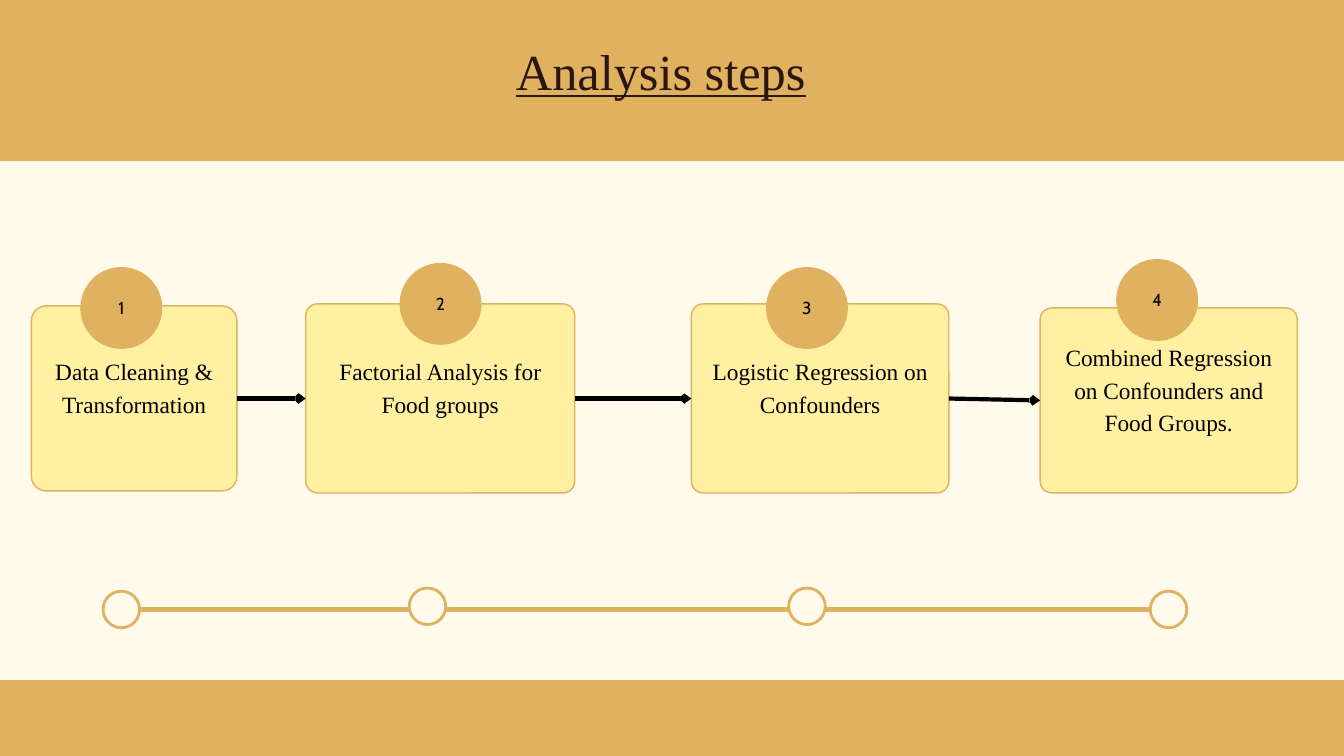
import pptx
import pptx.util
import pptx.dml.color
import pptx.enum.shapes
import pptx.enum.text
import pptx.oxml.ns
import lxml.etree

Pt = pptx.util.Pt
SHAPES = pptx.enum.shapes.MSO_SHAPE
GOLD, CREAM, YELLOW, BLACK, BROWN = "E0B15E", "FFFAEB", "FFF0A2", "000000", "2B1511"
rgb = pptx.dml.color.RGBColor.from_string

deck = pptx.Presentation()
deck.slide_width, deck.slide_height = Pt(1440), Pt(810)
page = deck.slides.add_slide(deck.slide_layouts[5])
page.background.fill.solid()
page.background.fill.fore_color.rgb = rgb(CREAM)


def add_shape(kind, left, top, width, height, fill, line_width=0):
    shape = page.shapes.add_shape(kind, Pt(left), Pt(top), Pt(width), Pt(height))
    shape.shadow.inherit = False
    shape.fill.solid()
    shape.fill.fore_color.rgb = rgb(fill)
    if line_width:
        shape.line.color.rgb = rgb(GOLD)
        shape.line.width = Pt(line_width)
    else:
        shape.line.fill.background()
    return shape


def set_text(shape, text, font, size, color, spacing, insets):
    frame = shape.text_frame
    frame.text = text
    frame.word_wrap = True
    frame.auto_size = pptx.enum.text.MSO_AUTO_SIZE.NONE
    frame.vertical_anchor = pptx.enum.text.MSO_ANCHOR.MIDDLE
    frame.margin_left = frame.margin_right = Pt(insets[0])
    frame.margin_top, frame.margin_bottom = Pt(insets[1]), Pt(insets[2])
    para = frame.paragraphs[0]
    para.alignment = pptx.enum.text.PP_ALIGN.CENTER
    para.line_spacing = Pt(spacing)
    span = para.runs[0]
    span.font.name = font
    span.font.size = Pt(size)
    span.font.color.rgb = rgb(color)
    return span


for top, height in [(0, 172.6), (728.8, 81.2)]:
    add_shape(SHAPES.RECTANGLE, 0, top, 1440, height, GOLD)

title = page.shapes.title
title.left, title.top, title.width, title.height = Pt(443), Pt(0), Pt(530), Pt(140)
heading = set_text(title, "Analysis steps", "Times New Roman", 54, BROWN, 75.6, (17, 17, 17))
heading.font.underline = True
page.shapes._spTree.append(title._element)

cards = [
    ("Data Cleaning & Transformation", 33.6, 327.8, 220.3, 198.2, 16),
    ("Factorial Analysis for Food groups", 327.6, 325.6, 288.2, 202.6, 12.6),
    ("Logistic Regression on Confounders", 740.8, 325.6, 275.8, 202.6, 12.6),
    ("Combined Regression on Confounders and Food Groups.", 1114.4, 329.9, 275.6, 198.2, 12.6),
]
badge_centers = [(130, 330), (472, 325.6), (864.6, 330), (1239.8, 321.4)]
badge_size = 87.8
for number, (card, center) in enumerate(zip(cards, badge_centers), 1):
    text, left, top, width, height, radius = card
    box = add_shape(SHAPES.ROUNDED_RECTANGLE, left, top, width, height, YELLOW, 1.5)
    box.adjustments[0] = radius / min(width, height)
    set_text(box, text, "Times New Roman", 25, BLACK, 35, (14, 20, 47.4))
    badge = add_shape(SHAPES.OVAL, center[0] - badge_size / 2, center[1] - badge_size / 2,
                      badge_size, badge_size, GOLD)
    set_text(badge, str(number), "Cabin", 18.5, BLACK, 25.9, (0, 0, 4))

dot_centers = [(130, 653), (458, 649.6), (864.6, 649.6), (1252, 653)]
dot_size = 39.2
arrows = [(start[1] + start[3], 427, end[1], end_y, BLACK)
          for start, end, end_y in zip(cards, cards[1:], [427, 427, 429])]
timeline = (dot_centers[0][0] + dot_size / 2, 653, dot_centers[-1][0] - dot_size / 2, 653, GOLD)
for start_x, start_y, end_x, end_y, color in arrows + [timeline]:
    line = page.shapes.add_connector(pptx.enum.shapes.MSO_CONNECTOR.STRAIGHT,
                                     Pt(start_x), Pt(start_y), Pt(end_x), Pt(end_y))
    line.line.color.rgb = rgb(color)
    line.line.width = Pt(4.5)
    properties = line._element.spPr
    if color == BLACK:
        outline = properties.find(pptx.oxml.ns.qn("a:ln"))
        lxml.etree.SubElement(outline, pptx.oxml.ns.qn("a:tailEnd"), type="arrow", w="sm", len="sm")
    lxml.etree.SubElement(properties, pptx.oxml.ns.qn("a:effectLst"))

for x, y in dot_centers:
    add_shape(SHAPES.OVAL, x - dot_size / 2, y - dot_size / 2, dot_size, dot_size, CREAM, 3)

deck.save("out.pptx")
